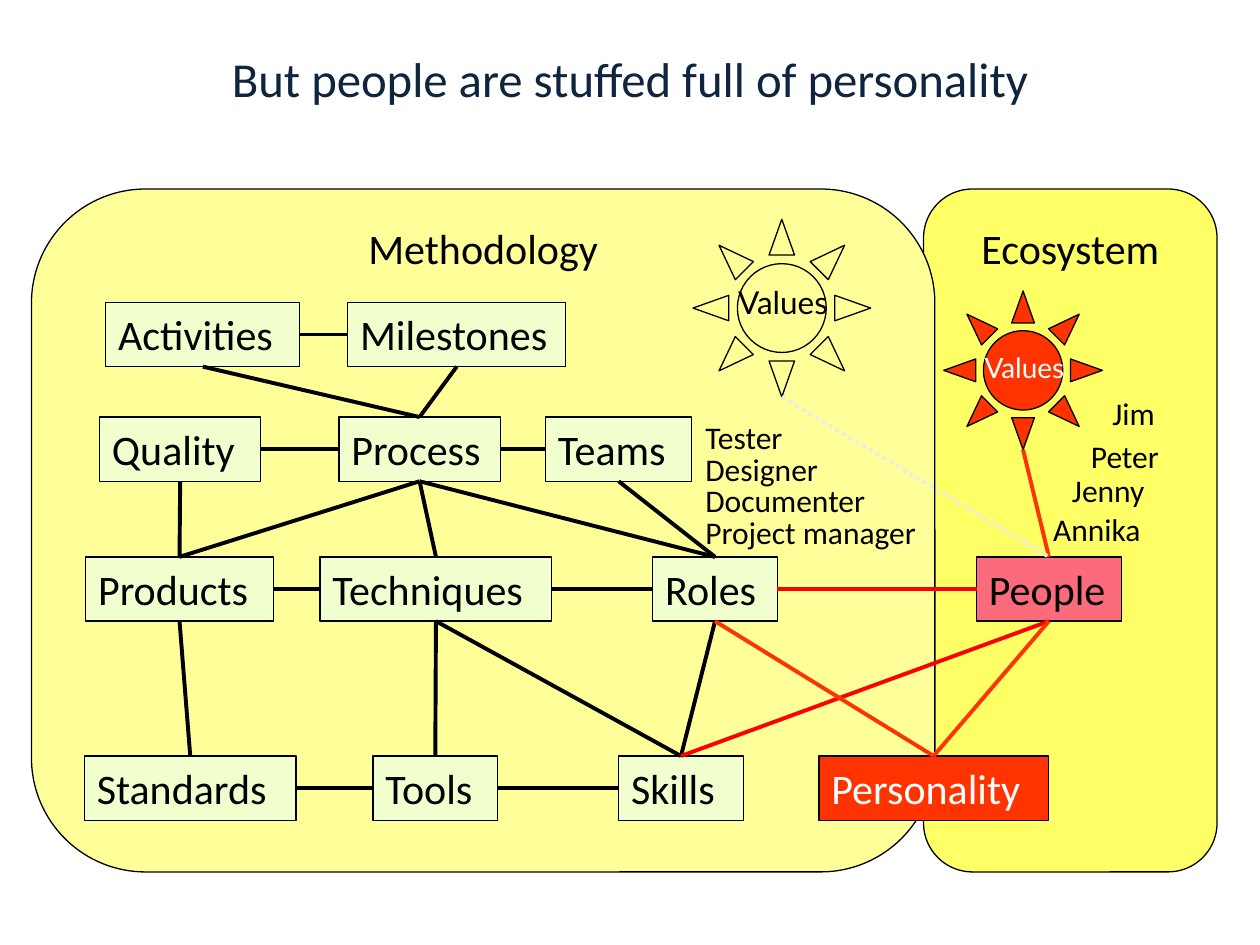
from lxml.etree import SubElement
from pptx import Presentation
from pptx.dml.color import RGBColor
from pptx.enum.dml import MSO_LINE
from pptx.enum.shapes import MSO_CONNECTOR, MSO_SHAPE
from pptx.enum.text import MSO_ANCHOR, MSO_AUTO_SIZE, PP_ALIGN
from pptx.oxml.ns import qn
from pptx.util import Inches, Pt

COLORS = {name: RGBColor.from_string(value) for name, value in {
    "black": "000000", "white": "FFFFFF", "navy": "0F243E",
    "ecosystem": "FFFF66", "methodology": "FFFF99", "concept": "F1FECE",
    "people": "FB6B7C", "orange": "FF3300", "red": "FF0000", "pale": "EEECE1",
}.items()}

presentation = Presentation()
presentation.slide_width, presentation.slide_height = Inches(10), Inches(7.5)
slide = presentation.slides.add_slide(presentation.slide_layouts[5])
shapes = slide.shapes


def write(shape, text, size, color="black", font="Calibri",
          align=PP_ALIGN.LEFT, anchor=MSO_ANCHOR.TOP, grow=True):
    frame = shape.text_frame
    frame.text = text
    frame.vertical_anchor = anchor
    frame.word_wrap = not grow
    frame.auto_size = MSO_AUTO_SIZE.SHAPE_TO_FIT_TEXT if grow else MSO_AUTO_SIZE.NONE
    paragraph = frame.paragraphs[0]
    paragraph.alignment = align
    run_font = paragraph.runs[0].font
    run_font.name, run_font.size = font, Pt(size)
    run_font.color.rgb = COLORS[color]
    return frame


def add_box(kind, left, top, width, height, fill=None):
    shape = shapes.add_shape(kind, *map(Inches, (left, top, width, height)))
    shape.shadow.inherit = False
    if fill:
        shape.fill.solid()
        shape.fill.fore_color.rgb = COLORS[fill]
    else:
        shape.fill.background()
    shape.line.color.rgb = COLORS["black"]
    shape.line.width = Pt(0.75)
    return shape


# Title
title = shapes.title
title.left, title.top, title.width, title.height = map(Inches, (0.5, 0.3, 9, 1.25))
frame = write(title, "But people are stuffed full of personality", 27.9, "navy",
              align=PP_ALIGN.CENTER, grow=False)
frame.margin_top = Inches(0.09)

# Background panels
for text, left, width, fill, margin in (
    ("Ecosystem", 7.33, 2.33, "ecosystem", 0.15),
    ("Methodology", 0.25, 7.17, "methodology", 0),
):
    panel = add_box(MSO_SHAPE.ROUNDED_RECTANGLE, left, 1.5, width, 5.42, fill)
    panel.adjustments[0] = 0.167
    frame = write(panel, text, 24, align=PP_ALIGN.CENTER, grow=False)
    frame.margin_top = Inches(margin)

# Concept boxes: row top, then name, left, width and fill
rows = {
    2.4: [("Activities", 0.84, 1.54, "concept"), ("Milestones", 2.76, 1.73, "concept")],
    3.31: [("Quality", 0.79, 1.28, "concept"), ("Process", 2.69, 1.28, "concept"),
           ("Teams", 4.33, 1.16, "concept")],
    4.42: [("Products", 0.68, 1.49, "concept"), ("Techniques", 2.54, 1.84, "concept"),
           ("Roles", 5.18, 0.99, "concept"), ("People", 7.75, 1.15, "people")],
    6: [("Standards", 0.67, 1.68, "concept"), ("Tools", 2.96, 0.99, "concept"),
        ("Skills", 4.91, 0.99, "concept"), ("Personality", 6.5, 1.82, "orange")],
}
nodes = {}
for top, row in rows.items():
    for name, left, width, fill in row:
        nodes[name] = add_box(MSO_SHAPE.RECTANGLE, left, top, width, 0.51, fill)
        write(nodes[name], name, 24, "white" if fill == "orange" else "black")

# Value suns with their labels
for name, left, top, side, fill, size, color, label in (
    ("Personal values", 7.49, 2.31, 1.26, "orange", 16, "white", (7.67, 2.77, 0.92, 0.33)),
    ("Method values", 5.5, 1.74, 1.41, None, 18, "black", (5.71, 2.24, 1.01, 0.36)),
):
    nodes[name] = add_box(MSO_SHAPE.SUN, left, top, side, side, fill)
    nodes[name].adjustments[0] = 0.25
    frame = write(shapes.add_textbox(*map(Inches, label)), "Values", size, color, "Lato",
                  PP_ALIGN.CENTER, MSO_ANCHOR.MIDDLE)
    frame.paragraphs[0].line_spacing = 0.85

# Role examples and people's names
roles = ("Tester", 0.88), ("Designer", 1.15), ("Documenter", 1.52), ("Project manager", 1.99)
labels = [(text, 5.5, 3.27 + 0.25 * i, width) for i, (text, width) in enumerate(roles)]
labels += [("Jim", 8.73, 3.08, 0.6), ("Peter", 8.56, 3.42, 0.77),
           ("Jenny", 8.41, 3.69, 0.84), ("Annika", 8.26, 4, 0.99)]
for text, left, top, width in labels:
    write(shapes.add_textbox(*map(Inches, (left, top, width, 0.4))), text, 18)

# Links: "across" joins right to left side, "down" joins bottom to top
SITES = {"across": (3, 1), "down": (2, 0)}
links = [
    ("across", "black", "Activities Milestones, Quality Process, Process Teams, "
     "Products Techniques, Techniques Roles, Standards Tools, Tools Skills"),
    ("down", "black", "Activities Process, Milestones Process, Quality Products, "
     "Process Products, Process Techniques, Process Roles, Teams Roles, "
     "Products Standards, Techniques Tools, Techniques Skills, Roles Skills"),
    ("across", "red", "Roles People"),
    ("down", "red", "People Skills"),
    ("down", "orange", "People Personality, Roles Personality"),
]
pairs = [(direction, color, *pair.split())
         for direction, color, text in links for pair in text.split(", ")]
pairs += [("down", "orange", "Personal values", "People"),
          ("down", "pale", "Method values", "People")]
for direction, color, start, end in pairs:
    link = shapes.add_connector(MSO_CONNECTOR.STRAIGHT, 0, 0, 0, 0)
    begin_site, end_site = SITES[direction]
    link.begin_connect(nodes[start], begin_site)
    link.end_connect(nodes[end], end_site)
    link.line.color.rgb = COLORS[color]
    link.line.width = Pt(2.25)
    if color == "pale":
        link.line.dash_style = MSO_LINE.ROUND_DOT
    SubElement(link._element.spPr, qn("a:effectLst"))

presentation.save("out.pptx")
